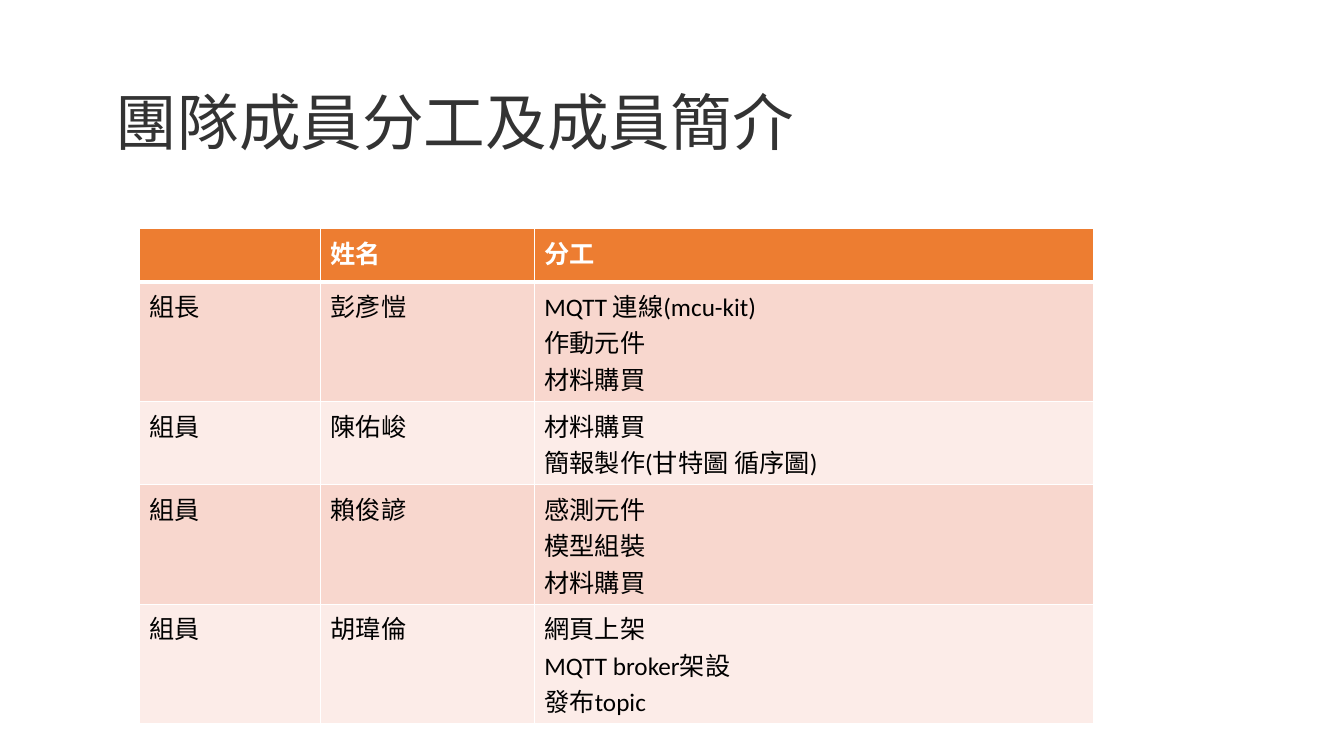
from lxml import etree
from pptx import Presentation
from pptx import util as u
from pptx.dml.color import RGBColor
from pptx.enum import text
from pptx.oxml.ns import qn


def color(code):
    return RGBColor.from_string(code)


class Deck:
    font = "Calibri"
    ink, dark, white = "000000", "333333", "FFFFFF"
    head, bands = "ED7D31", ("F8D7CE", "FCECE8")

    def __init__(self):
        self.prs = Presentation()
        self.prs.slide_width = u.Inches(13.33)
        self.prs.slide_height = u.Inches(7.5)
        self.slide = self.prs.slides.add_slide(self.prs.slide_layouts[5])
        back = self.slide.background.fill
        back.solid()
        back.fore_color.rgb = color(self.white)

    def run(self, para, words, size, code, bold=False):
        run = para.add_run()
        run.text = words
        run.font.name = self.font
        run.font.size = u.Pt(size)
        run.font.bold = bold
        run.font.color.rgb = color(code)

    def title(self, words, box):
        shape = self.slide.shapes.title
        shape.left, shape.top, shape.width, shape.height = map(u.Inches, box)
        frame = shape.text_frame
        frame.word_wrap = True
        frame.auto_size = text.MSO_AUTO_SIZE.NONE
        frame.vertical_anchor = text.MSO_ANCHOR.MIDDLE
        para = frame.paragraphs[0]
        para.alignment = text.PP_ALIGN.LEFT
        para.line_spacing = 0.9
        self.run(para, words, 44, self.dark)

    def edge(self, cell, side, width):
        props = cell._tc.get_or_add_tcPr()
        line = etree.SubElement(props, qn("a:ln" + side), w=str(u.Pt(width)))
        fill = etree.SubElement(line, qn("a:solidFill"))
        etree.SubElement(fill, qn("a:srgbClr"), val=self.white)

    def cell(self, cell, words, row):
        top = row == 0
        for side in "LRTB":
            thick = (row, side) in ((0, "B"), (1, "T"))
            self.edge(cell, side, 3 if thick else 1)
        cell.fill.solid()
        cell.fill.fore_color.rgb = color(self.head if top else self.bands[(row - 1) % 2])
        frame = cell.text_frame
        for i, line in enumerate(words.split("\n") if words else []):
            para = frame.add_paragraph() if i else frame.paragraphs[0]
            self.run(para, line, 18, self.white if top else self.ink, top)

    def table(self, rows, box, widths, heights):
        shape = self.slide.shapes.add_table(
            len(rows), len(widths), *map(u.Inches, box))
        table = shape.table
        for col, width in zip(table.columns, widths):
            col.width = u.Inches(width)
        for row, height in zip(table.rows, heights):
            row.height = u.Inches(height)
        shape.height = u.Inches(box[3])
        for r, row in enumerate(rows):
            for c, words in enumerate(row):
                self.cell(table.cell(r, c), words, r)


def main():
    deck = Deck()
    deck.title("團隊成員分工及成員簡介", (1.05, 0.52, 11.5, 1.45))
    team = [
        ("", "姓名", "分工"),
        ("組長", "彭彥愷", "MQTT 連線(mcu-kit)\n作動元件\n材料購買"),
        ("組員", "陳佑峻", "材料購買\n簡報製作(甘特圖 循序圖)"),
        ("組員", "賴俊諺", "感測元件\n模型組裝\n材料購買"),
        ("組員", "胡瑋倫", "網頁上架\nMQTT broker架設\n發布topic"),
    ]
    deck.table(team, (1.38, 2.27, 9.47, 4.23),
               (1.8, 2.12, 5.55), (0.53, 0.42, 0.41, 0.41, 0.41))
    deck.prs.save("out.pptx")


if __name__ == "__main__":
    main()
